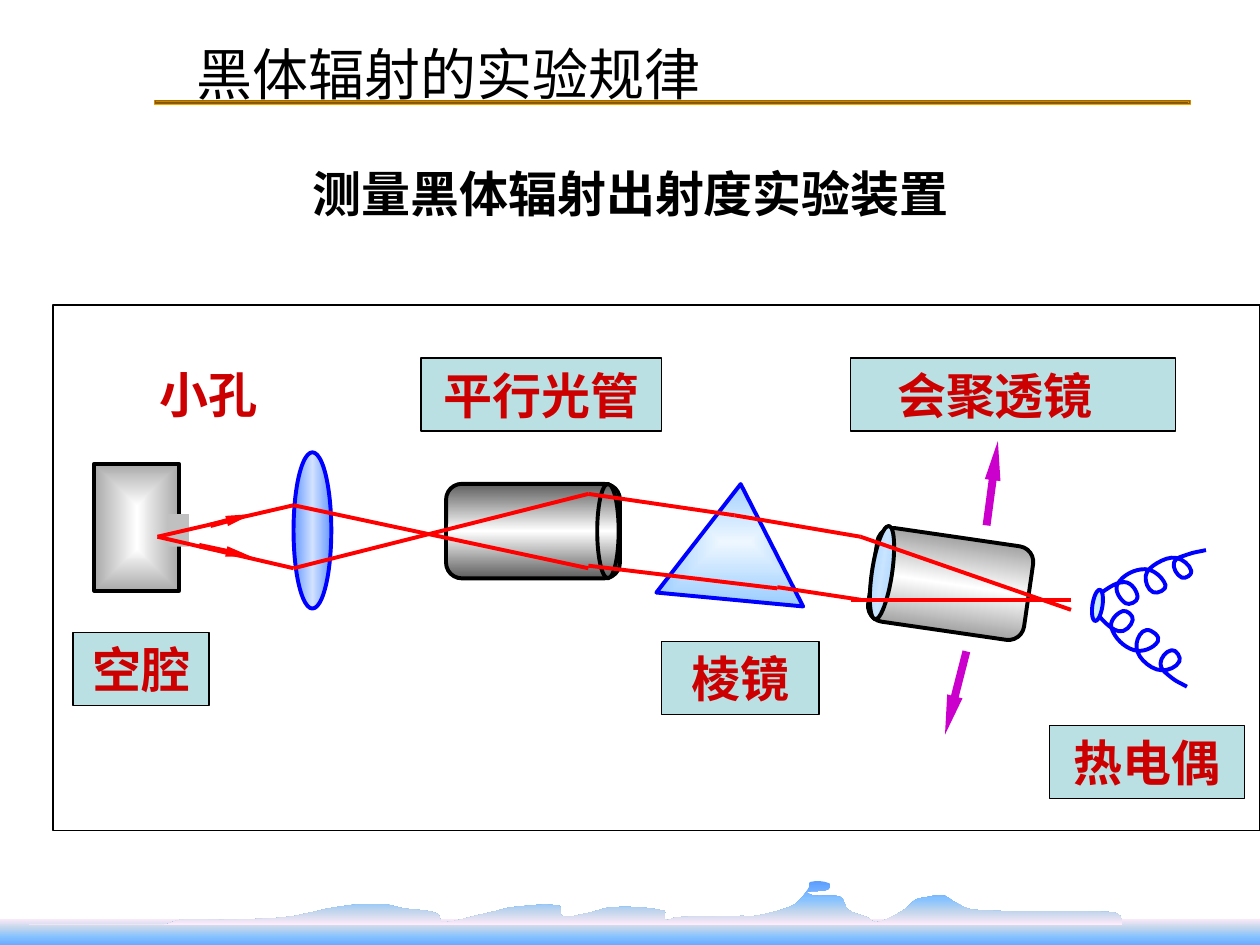
from dataclasses import dataclass
from math import dist

from lxml.etree import SubElement
from pptx import Presentation
from pptx.dml.color import RGBColor
from pptx.enum.shapes import MSO_CONNECTOR, MSO_SHAPE
from pptx.enum.text import MSO_AUTO_SIZE, PP_ALIGN
from pptx.oxml import parse_xml
from pptx.oxml.ns import nsdecls, qn
from pptx.util import Inches, Pt


@dataclass(frozen=True)
class Theme:
    cjk: str = "Noto Sans CJK SC"
    latin: str = "Times New Roman"
    title: int = 32
    body: int = 28
    thin: float = 0.75
    thick: float = 2.25
    bold_ray: int = 3
    heavy: float = 4.5
    black: str = "000000"
    white: str = "FFFFFF"
    label_fill: str = "BBE0E3"
    label_text: str = "CC0000"
    blue: str = "0000FF"
    ray: str = "FF0000"
    motion: str = "CC00CC"
    hole: str = "C0C0C0"
    plate: str = "CCECFF"
    gold: tuple = ("825600", "FFA800") * 3 + ("825600", "FFA800")
    sky: tuple = ((0, "FFEBFA"), (30, "C4D6EB"), (60, "85C2FF"), (100, "5E9EFF"))
    cavity: tuple = ((0, "FFFFFF"), (100, "A9A9A9"))
    lens: tuple = ((0, "6699FF"), (50, "D1E1FF"), (100, "6699FF"))
    collimator: tuple = ((0, "5E5E5E"), (50, "FFFFFF"), (100, "5E5E5E"))
    condenser: tuple = ((0, "767676"), (50, "FFFFFF"), (100, "767676"))
    face: tuple = ((0, "99CCFF"), (50, "C8E4FF"), (100, "99CCFF"))
    prism: tuple = ((0, "EEF7FF"), (100, "99CCFF"))


T = Theme()
RECT, OVAL, ROUND = MSO_SHAPE.RECTANGLE, MSO_SHAPE.OVAL, MSO_SHAPE.ROUNDED_RECTANGLE


def place(box, x, y, w, h):
    return [Inches(v) for v in (box[0] + x, box[1] + y, w, h)]


def set_gradient(sp, stops, angle):
    gs = "".join(f'<a:gs pos="{pos * 1000}"><a:srgbClr val="{color}"/></a:gs>' for pos, color in stops)
    if angle is None:
        way = '<a:path path="shape"><a:fillToRect l="50000" t="50000" r="50000" b="50000"/></a:path>'
    else:
        way = f'<a:lin ang="{angle * 60000}" scaled="0"/>'
    xml = f'<a:gradFill {nsdecls("a")} rotWithShape="1"><a:gsLst>{gs}</a:gsLst>{way}</a:gradFill>'
    geom = sp._element.spPr.find(qn("a:prstGeom"))
    if geom is None:
        geom = sp._element.spPr.find(qn("a:custGeom"))
    geom.addnext(parse_xml(xml))


def paint(sp, fill=None, line=None, width=T.thick, angle=None):
    sp.shadow.inherit = False
    if isinstance(fill, str):
        sp.fill.solid()
        sp.fill.fore_color.rgb = RGBColor.from_string(fill)
    elif fill:
        set_gradient(sp, fill, angle)
    else:
        sp.fill.background()
    if line:
        sp.line.color.rgb = RGBColor.from_string(line)
        sp.line.width = Pt(width)
    else:
        sp.line.fill.background()


def add_part(s, box, kind, at, fill, line=T.black, width=T.thick, angle=None, turn=0):
    sp = s.shapes.add_shape(kind, *place(box, *at))
    paint(sp, fill, line, width, angle)
    sp.rotation = turn
    return sp


def write(sp, text, color, size=T.body, bold=True, align=PP_ALIGN.CENTER, font=T.cjk):
    tf = sp.text_frame
    tf.text = text
    tf.word_wrap = True
    tf.auto_size = MSO_AUTO_SIZE.SHAPE_TO_FIT_TEXT
    p = tf.paragraphs[0]
    p.alignment = align
    f = p.runs[0].font
    f.size, f.bold, f.name = Pt(size), bold, font
    f.color.rgb = RGBColor.from_string(color)
    SubElement(p.runs[0]._r.get_or_add_rPr(), qn("a:ea")).set("typeface", T.cjk)
    return p


def add_label(s, box, at, text, **style):
    sp = add_part(s, box, RECT, at, T.label_fill, width=T.thin)
    write(sp, text, T.label_text, **style)
    return sp


def add_line(s, box, start, end, color, width, arrow=False):
    ends = [Inches(box[i] + pt[i]) for pt in (start, end) for i in (0, 1)]
    c = s.shapes.add_connector(MSO_CONNECTOR.STRAIGHT, *ends)
    c.line.color.rgb = RGBColor.from_string(color)
    c.line.width = Pt(width)
    if arrow:
        head = SubElement(c.line._get_or_add_ln(), qn("a:tailEnd"))
        for key, value in (("type", "triangle"), ("w", "sm"), ("len", "lg")):
            head.set(key, value)
    SubElement(c._element.spPr, qn("a:effectLst"))


def handle(start, before, after, length):
    span = dist(before, after) or 1
    return [a + (c - b) * length / span for a, b, c in zip(start, before, after)]


def add_curve(s, box, points, close=False):
    spots = [(Inches(box[0] + x), Inches(box[1] + y)) for x, y in points]
    fb = s.shapes.build_freeform(*spots[0])
    fb.add_line_segments(spots[1:], close=close)
    sp = fb.convert_to_shape()
    knots = [(x - sp.left, y - sp.top) for x, y in spots]
    padded = [knots[0], *knots, knots[-1]]
    segments = list(sp._element.iter(qn("a:lnTo")))
    for seg, a, b, c, d in zip(segments, padded, padded[1:], padded[2:], padded[3:]):
        reach = dist(b, c) / 3
        seg.tag = qn("a:cubicBezTo")
        for n, knot in enumerate((handle(b, a, c, reach), handle(c, d, b, reach))):
            pt = parse_xml(f'<a:pt {nsdecls("a")} x="{round(knot[0])}" y="{round(knot[1])}"/>')
            seg.insert(n, pt)
    return sp


def header(s, box):
    stops = list(zip((0, 13, 28, 43, 58, 72, 87, 100), T.gold))
    add_part(s, box, RECT, (0, 0.66, box[2], 0.04), stops, line=None)
    tb = s.shapes.add_textbox(*place(box, 0.24, 0, 5.47, 0.68))
    p = write(tb, "黑体辐射的实验规律", T.black, T.title, False, PP_ALIGN.LEFT)
    p.line_spacing = 1.25


def landscape(s, box):
    add_part(s, box, RECT, (0, 0.97, box[2], 0.24), T.sky, line=None, angle=90)
    add_part(s, box, OVAL, (6.05, 0, 0.4, 0.31), T.white, line=None)
    ridge = [
        (0.23, 1.02), (1.3, 1.02), (1.43, 0.98), (1.78, 0.98), (2.14, 0.97), (2.26, 0.96),
        (2.34, 0.95), (2.43, 0.93), (2.48, 0.92), (2.61, 0.89), (2.74, 0.87), (2.83, 0.86),
        (3.07, 0.86), (3.2, 0.89), (3.39, 0.91), (3.48, 0.94), (3.51, 1), (3.81, 0.94),
        (3.94, 0.91), (4.07, 0.88), (4.44, 0.87), (4.46, 0.95), (4.65, 0.93), (4.87, 0.88),
        (5.27, 0.91), (5.28, 0.98), (5.37, 0.96), (5.89, 0.95), (5.99, 0.95), (6.17, 0.91),
        (6.26, 0.88), (6.32, 0.85), (6.42, 0.73), (6.43, 0.68), (6.58, 0.69), (6.57, 0.74),
        (6.41, 0.77), (6.67, 0.8), (6.73, 0.9), (6.88, 0.96), (6.95, 1), (7.07, 0.96),
        (7.19, 0.89), (7.27, 0.82), (7.36, 0.8), (7.41, 0.79), (7.5, 0.79), (7.56, 0.83),
        (7.72, 0.9), (8.83, 0.92), (8.89, 0.95), (8.91, 1.02)]
    hills = add_curve(s, box, ridge, close=True)
    paint(hills, [(100 - pos, color) for pos, color in reversed(T.sky)], angle=90)


def source(s, box):
    add_part(s, box, RECT, (0.17, 0.84, 0.67, 1.01), T.cavity)
    add_part(s, box, RECT, (0.75, 1.24, 0.17, 0.26), T.hole, line=None)
    add_part(s, box, OVAL, (1.75, 0.75, 0.3, 1.24), T.lens, T.blue, angle=0)
    tb = s.shapes.add_textbox(*place(box, 0.59, 0, 1.42, 0.57))
    write(tb, "小孔", T.label_text, align=PP_ALIGN.LEFT, font=T.latin)
    add_label(s, box, (0, 2.18, 1.08, 0.58), "空腔", font=T.latin)


def collimator(s, box):
    add_part(s, box, ROUND, (0.2, 1, 1.38, 0.75), T.collimator, angle=90)
    add_part(s, box, OVAL, (1.4, 1, 0.17, 0.75), T.collimator, angle=90)
    add_label(s, box, (0, 0, 1.91, 0.58), "平行光管")


def prism(s, box):
    add_part(s, box, MSO_SHAPE.ISOSCELES_TRIANGLE, (0, 0, 1.17, 0.92), T.prism, T.blue, turn=5.4)
    add_label(s, box, (0, 1.25, 1.25, 0.58), "棱镜")


def condenser(s, box):
    add_part(s, box, ROUND, (0.17, 1.42, 1.25, 0.75), T.condenser, angle=90, turn=8.3)
    add_part(s, box, OVAL, (0.17, 1.33, 0.16, 0.75), T.face, angle=0, turn=8.5)
    label = add_label(s, box, (0, 0, 2.58, 0.58), "会聚透镜", align=PP_ALIGN.LEFT)
    label.text_frame.margin_left = Inches(0.37)


def thermocouple(s, box):
    lower = [(0.34, 0.58), (0.55, 0.75), (0.66, 0.66), (0.58, 0.59), (0.49, 0.72), (0.67, 0.9),
             (0.86, 0.83), (0.77, 0.74), (0.69, 0.85), (0.74, 0.98), (0.89, 1.06), (1.03, 0.99),
             (0.97, 0.9), (0.88, 1.01), (0.97, 1.12), (1.09, 1.19)]
    upper = [(0.42, 0.58), (0.62, 0.41), (0.75, 0.5), (0.67, 0.57), (0.57, 0.44), (0.75, 0.27),
             (0.94, 0.35), (0.86, 0.43), (0.77, 0.32), (0.83, 0.2), (0.97, 0.12), (1.11, 0.19),
             (1.05, 0.26), (0.96, 0.16), (1.05, 0.07), (1.18, 0)]
    for points, turn in ((lower, 0), (upper, 14.7)):
        coil = add_curve(s, box, points)
        coil.rotation = turn
        paint(coil, line=T.blue)
    add_part(s, box, OVAL, (0.34, 0.42, 0.08, 0.25), T.plate, T.blue, turn=8.7)
    add_label(s, box, (0, 1.5, 1.55, 0.58), "热电偶", font=T.latin)


def rays(s, box):
    paths = [[(0.83, 1.84), (1.91, 2.09), (4.25, 1.5), (5.41, 1.67), (6.41, 1.84), (8.08, 2.42)],
             [(0.83, 1.84), (1.91, 1.59), (4.25, 2.09)],
             [(4.25, 2.07), (5.75, 2.25)],
             [(5.75, 2.24), (6.41, 2.34)],
             [(6.33, 2.34), (8.08, 2.34)]]
    for path in paths:
        for start, end in zip(path, path[1:]):
            add_line(s, box, start, end, T.ray, T.thick)
    arrows = [((1.25, 1.75), (1.58, 1.66), T.ray, T.bold_ray),
              ((1.16, 1.91), (1.58, 2), T.ray, T.bold_ray),
              ((7.25, 2.75), (7.08, 3.41), T.motion, T.heavy),
              ((7.41, 1.75), (7.5, 1.08), T.motion, T.heavy)]
    for arrow in arrows:
        add_line(s, box, *arrow, arrow=True)


def apparatus(s, box):
    x, y, w, h = box
    add_part(s, box, RECT, (0, 0, w, h), T.white, width=T.thin)
    source(s, (x + 0.16, y + 0.42))
    condenser(s, (x + 6.33, y + 0.42))
    collimator(s, (x + 2.92, y + 0.42))
    prism(s, (x + 4.83, y + 1.42))
    thermocouple(s, (x + 7.91, y + 1.84))
    rays(s, box)


def main():
    prs = Presentation()
    prs.slide_width, prs.slide_height = Inches(10), Inches(7.5)
    s = prs.slides.add_slide(prs.slide_layouts[6])
    header(s, (1.22, 0.13, 8.23, 0.7))
    landscape(s, (0, 6.32, 10, 1.21))
    apparatus(s, (0.42, 2.42, 9.58, 4.17))
    caption = s.shapes.add_textbox(*place((1.09, 1.25), 0, 0, 7.83, 0.57))
    write(caption, "测量黑体辐射出射度实验装置", T.black)
    prs.save("out.pptx")


if __name__ == "__main__":
    main()
